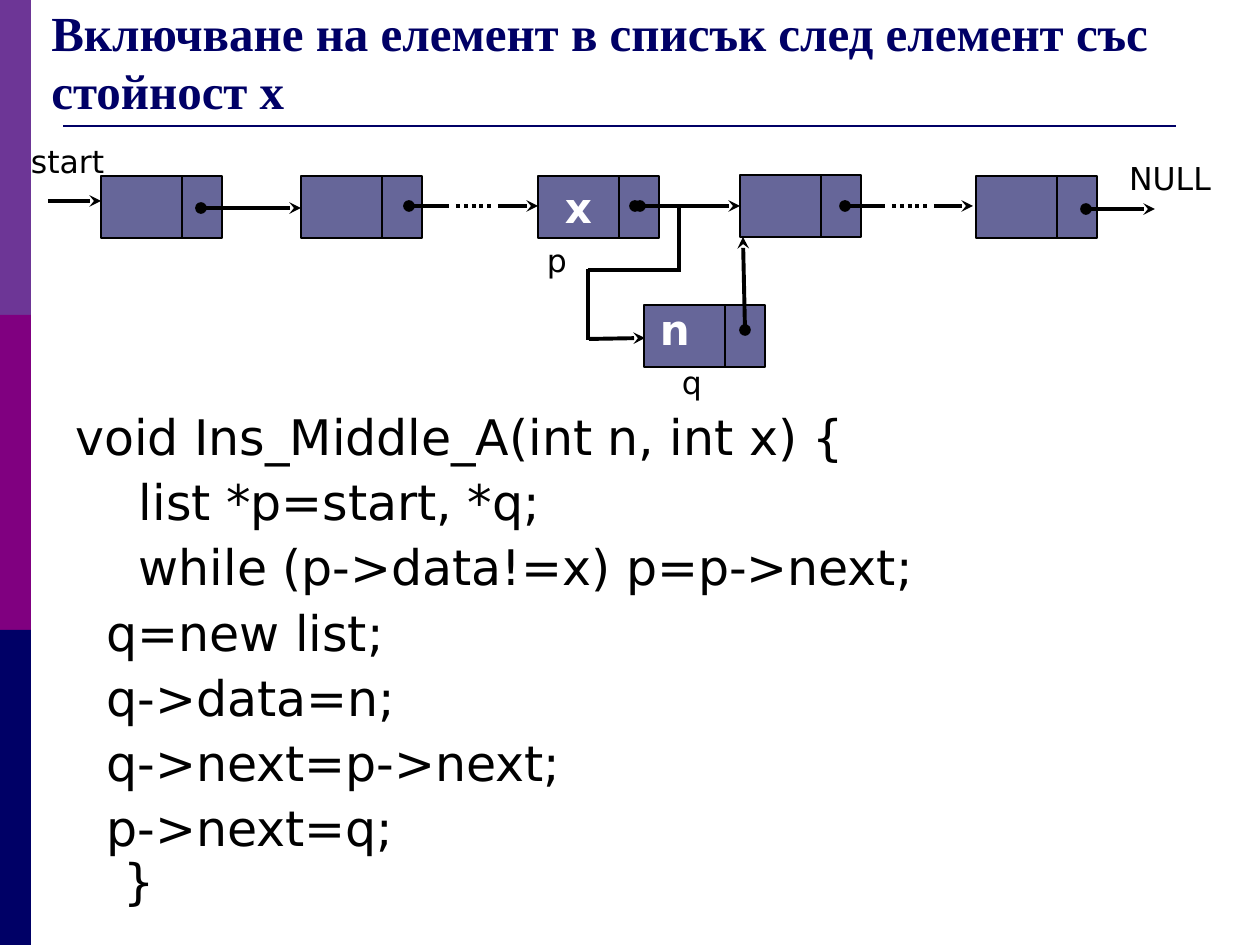
from dataclasses import dataclass
from typing import Optional

from pptx import Presentation
from pptx.dml.color import RGBColor
from pptx.enum.dml import MSO_LINE as Dash
from pptx.enum.shapes import MSO_CONNECTOR as Conn, MSO_SHAPE as Shape
from pptx.enum.text import MSO_ANCHOR as Anchor, PP_ALIGN as Align
from pptx.oxml.ns import qn
from pptx.util import Emu, Pt
from lxml.etree import SubElement

EMU_PER_PX = 914400 / 126


def px(n: int) -> Emu:
    return Emu(round(n * EMU_PER_PX))


@dataclass(frozen=True)
class Theme:
    navy: str = "000066"
    violet: str = "6D3696"
    purple: str = "800080"
    node: str = "666699"
    black: str = "000000"
    white: str = "FFFFFF"
    sans: str = "DejaVu Sans"
    serif: str = "Times New Roman"
    heading: int = 28
    value: int = 24
    label: int = 18


T = Theme()


@dataclass(frozen=True)
class Node:
    x: int
    y: int = 176
    value: str = ""


@dataclass(frozen=True)
class Label:
    text: str
    x: int
    y: int
    w: int
    h: int = 50
    size: int = T.label
    color: str = T.black
    bold: bool = False
    align: Align = Align.LEFT


@dataclass(frozen=True)
class Link:
    x1: int
    y1: int
    x2: int
    y2: int
    head: Optional[str] = None
    tail: Optional[str] = None
    dotted: bool = False


DATA_W, NEXT_W, NODE_H = 81, 40, 62
NODES = [Node(644, 305), Node(101), Node(538, value="x"), Node(976),
         Node(301), Node(740, 175)]

LABELS = [
    Label("q", 677, 360, 38),
    Label("n", 655, 301, 60, 66, T.value, T.white, True),
    Label("start", 26, 139, 123),
    Label("NULL", 1105, 156, 130, align=Align.CENTER),
    Label("p", 542, 238, 37),
]

DOT, ARROW = "oval", "stealth"
LINKS = [
    # Main chain
    Link(48, 201, 101, 201, tail=ARROW),
    Link(201, 208, 301, 208, DOT, ARROW),
    Link(409, 206, 449, 206, DOT),
    Link(456, 206, 494, 206, dotted=True),
    Link(498, 206, 538, 206, tail=ARROW),
    Link(640, 206, 740, 206, DOT, ARROW),
    Link(845, 206, 885, 206, DOT),
    Link(892, 206, 930, 206, dotted=True),
    Link(934, 206, 973, 206, tail=ARROW),
    Link(1086, 209, 1155, 209, DOT, ARROW),
    # Detour through the new node
    Link(635, 206, 681, 206, DOT),
    Link(679, 206, 679, 272),
    Link(588, 270, 680, 270),
    Link(588, 269, 588, 340),
    Link(589, 339, 645, 338, tail=ARROW),
    Link(745, 330, 743, 237, DOT, ARROW),
]

TITLE = "Включване на елемент в списък след елемент със стойност x"
CODE = [
    "void Ins_Middle_A(int n, int x) {",
    "\t list *p=start, *q;",
    "  \t while (p->data!=x) p=p->next;",
    "  q=new list;",
    "  q->data=n;",
    "  q->next=p->next;",
    "  p->next=q;\v}",
]


def set_font(p, size: int, color: str, bold: bool = False, name: str = T.sans) -> None:
    values = {"name": name, "size": Pt(size), "bold": bold}
    for r in p.runs:
        for key, value in values.items():
            setattr(r.font, key, value)
        r.font.color.rgb = RGBColor.from_string(color)


def add_box(shapes, x: int, y: int, w: int, h: int, fill: str, outlined: bool = False):
    sp = shapes.add_shape(Shape.RECTANGLE, px(x), px(y), px(w), px(h))
    sp.shadow.inherit = False
    sp.fill.solid()
    sp.fill.fore_color.rgb = RGBColor.from_string(fill)
    if outlined:
        sp.line.color.rgb = RGBColor.from_string(T.black)
        sp.line.width = Pt(1)
    else:
        sp.line.fill.background()
    return sp


def add_text(shapes, x: int, y: int, w: int, h: int, **frame):
    tf = shapes.add_textbox(px(x), px(y), px(w), px(h)).text_frame
    for key, value in {"word_wrap": True, **frame}.items():
        setattr(tf, key, value)
    return tf


def add_node(shapes, node: Node) -> None:
    group = shapes.add_group_shape().shapes
    sp = add_box(group, node.x, node.y, DATA_W, NODE_H, T.node, True)
    add_box(group, node.x + DATA_W, node.y, NEXT_W, NODE_H, T.node, True)
    if node.value:
        sp.text_frame.text = node.value
        p = sp.text_frame.paragraphs[0]
        p.alignment = Align.CENTER
        set_font(p, T.value, T.white, True)


def add_label(shapes, label: Label) -> None:
    tf = add_text(shapes, label.x, label.y, label.w, label.h,
                  margin_left=px(5), margin_right=px(5),
                  margin_top=px(3), margin_bottom=px(3))
    p = tf.paragraphs[0]
    p.text, p.alignment = label.text, label.align
    set_font(p, label.size, label.color, label.bold)


def add_link(shapes, link: Link, color: str = T.black, width: float = 2.25) -> None:
    sp = shapes.add_connector(Conn.STRAIGHT, px(link.x1), px(link.y1),
                              px(link.x2), px(link.y2))
    sp.line.color.rgb = RGBColor.from_string(color)
    sp.line.width = Pt(width)
    if link.dotted:
        sp.line.dash_style = Dash.ROUND_DOT
    props = sp._element.spPr
    ln = props.find(qn("a:ln"))
    for tag, end in (("a:headEnd", link.head), ("a:tailEnd", link.tail)):
        if end:
            SubElement(ln, qn(tag), type=end)
    SubElement(props, qn("a:effectLst"))


def add_code(shapes) -> None:
    tf = add_text(shapes, 63, 407, 960, 538)
    for i, line in enumerate(CODE):
        p = tf.paragraphs[0] if i == 0 else tf.add_paragraph()
        p.text = line
        p.line_spacing = 0.9
        p.space_before = Pt(7 if i else 0)
        pPr = p._p.get_or_add_pPr()
        pPr.set("marL", str(px(48)))
        pPr.set("indent", str(-px(48)))
        set_font(p, T.heading, T.black)


def main() -> None:
    prs = Presentation()
    prs.slide_width, prs.slide_height = px(1260), px(945)
    shapes = prs.slides.add_slide(prs.slide_layouts[6]).shapes

    # Side bands and title rule
    for i, color in enumerate((T.violet, T.purple, T.navy)):
        add_box(shapes, 0, i * 315, 31, 315, color)
    add_link(shapes, Link(63, 126, 1176, 126), T.navy, 1.5)

    # Title and code
    p = add_text(shapes, 39, 38, 1221, 88, vertical_anchor=Anchor.BOTTOM).paragraphs[0]
    p.text = TITLE
    set_font(p, T.heading, T.navy, True, T.serif)
    add_code(shapes)

    # Linked list diagram
    for draw, items in ((add_node, NODES), (add_label, LABELS), (add_link, LINKS)):
        for item in items:
            draw(shapes, item)

    prs.save("out.pptx")


if __name__ == "__main__":
    main()
